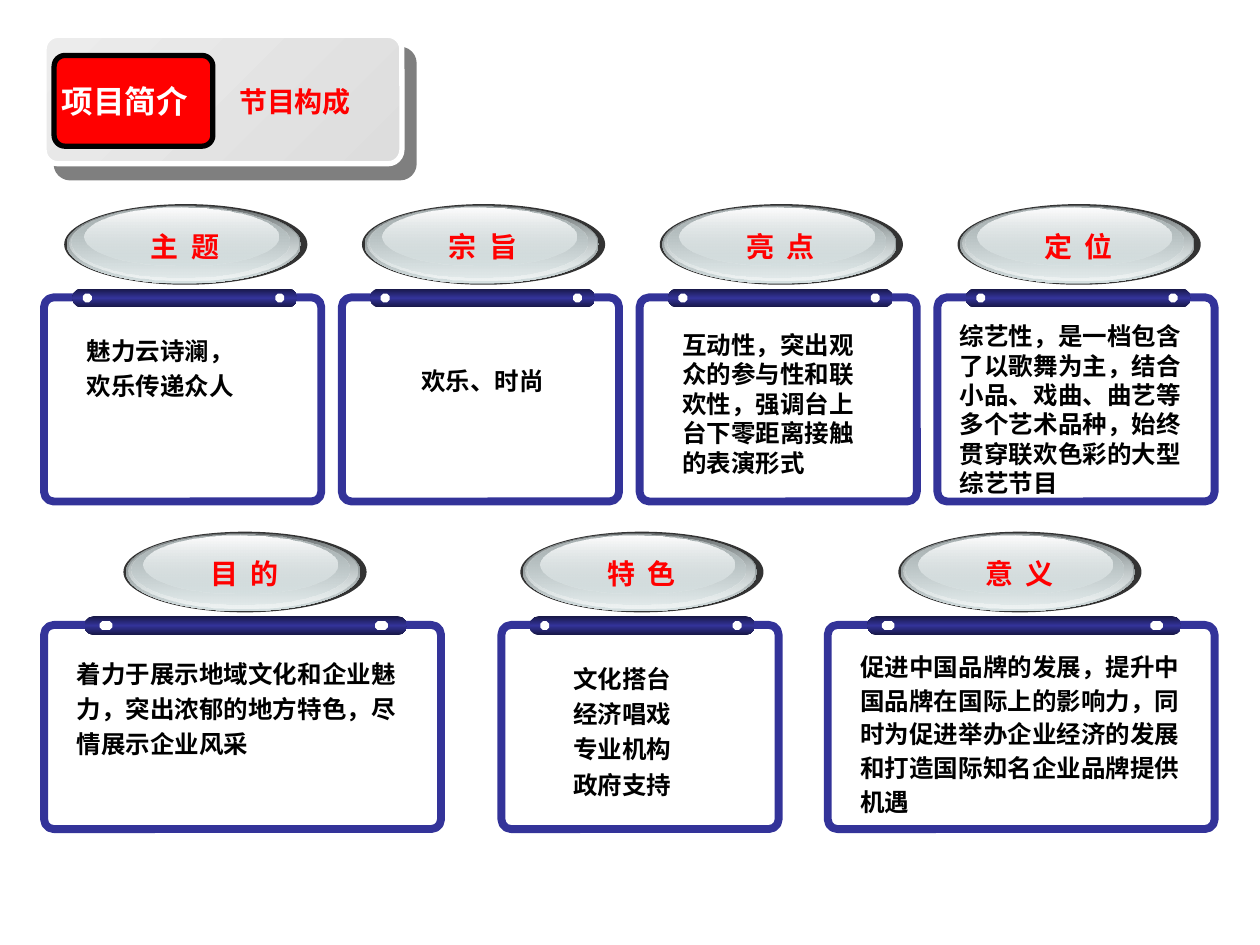
from lxml.etree import SubElement as Sub
from pptx import Presentation
from pptx.dml.color import RGBColor as Color
from pptx.enum.shapes import MSO_SHAPE as Kind
from pptx.enum.text import MSO_ANCHOR as Anchor, PP_ALIGN as Align
from pptx.oxml.ns import qn
from pptx.util import Inches, Pt

THEME = {
    "latin": "Arial", "cjk": "Noto Sans CJK SC",
    "body": 14, "label": 16, "title": 18, "lead": 1.2,
    "ink": "000000", "red": "FF0000", "white": "FFFFFF",
    "navy": "333399", "edge": "333333",
    "bar": [(0, "171746", 100), (50, "333399", 100), (100, "171746", 100)],
    "plate": [(0, "DDDDDD", 100), (100, "ECECEC", 100)],
    "rim": [(0, "626768", 100), (100, "D6E1E2", 100)],
    "glow": [(0, "D6E1E2", 0), (100, "EFF3F3", 100)],
    "shade": [(0, "A8B1B2", 100), (100, "D6E1E2", 48)],
    "shine": [(0, "FEFEFE", 100), (100, "D6E1E2", 38)],
}

STEP = (9.64 - 0.35 - 2.2) / 3
TOP = [
    ("主 题", ["魅力云诗澜，", "欢乐传递众人"], (0.24, 0.21, 1.73, 0.66), 1.2),
    ("宗 旨", ["欢乐、时尚"], (0.53, 0.5, 1.25, 0.34), 1),
    ("亮 点", ["互动性，突出观众的参与性和联欢性，强调台上台下零距离接触的表演形式"],
     (0.24, 0.21, 1.65, 1.27), 1),
    ("定 位", ["综艺性，是一档包含了以歌舞为主，结合小品、戏曲、曲艺等多个艺术品种，始终贯穿联欢色彩的大型综艺节目"],
     (0.08, 0.14, 1.97, 1.5), 1),
]
LOW = [
    (0.35, 3.15, 0.63, "目 的", ["着力于展示地域文化和企业魅力，突出浓郁的地方特色，尽情展示企业风采"],
     (0.16, 0.17, 2.84, 0.94), 1.2),
    (3.98, 2.2, 0.15, "特 色", ["文化搭台", "经济唱戏", "专业机构", "政府支持"],
     (0.47, 0.21, 1.26, 1.22), 1.2),
    (6.57, 3.07, 0.56, "意 义", ["促进中国品牌的发展，提升中国品牌在国际上的影响力，同时为促进举办企业经济的发展和打造国际知名企业品牌提供机遇"],
     (0.16, 0.13, 2.76, 1.44), 1.15),
]
CARDS = [(2.36, 0.35 + i * STEP, 2.2, 0.16, *card) for i, card in enumerate(TOP)]
CARDS += [(4.96, *card) for card in LOW]

OVALS = [
    (0, 0, 1.93, 0.64, "edge"),
    (0.02, 0.01, 1.86, 0.62, "rim"),
    (0.04, 0.01, 1.82, 0.6, "glow"),
    (0.06, 0.02, 1.73, 0.56, "shade"),
    (0.16, 0.03, 1.54, 0.46, "shine"),
]

deck = Presentation()
deck.slide_width, deck.slide_height = Inches(10), Inches(7.5)
slide = deck.slides.add_slide(deck.slide_layouts[6])


def put(item, **fmt):
    for key, val in fmt.items():
        setattr(item, key, val)


def tint(node, code, alpha):
    color = Sub(node, qn("a:srgbClr"), val=code)
    if alpha < 100:
        Sub(color, qn("a:alpha"), val=str(alpha * 1000))


def blend(shape, stops, angle):
    shape.fill.background()
    props = shape._element.spPr
    old = props.find(qn("a:noFill"))
    grad = props.makeelement(qn("a:gradFill"), {"rotWithShape": "1"})
    props.replace(old, grad)
    ramp = Sub(grad, qn("a:gsLst"))
    for pos, code, alpha in stops:
        tint(Sub(ramp, qn("a:gs"), pos=str(pos * 1000)), code, alpha)
    Sub(grad, qn("a:lin"), ang=str(angle * 60000), scaled="0")


def draw(kind, box, fill=None, line=None, width=0, adj=None, angle=90):
    shape = slide.shapes.add_shape(kind, *map(Inches, box))
    shape.shadow.inherit = False
    if adj is not None:
        shape.adjustments[0] = adj
    paint = THEME.get(fill)
    if paint is None:
        shape.fill.background()
    elif isinstance(paint, list):
        blend(shape, paint, angle)
    else:
        shape.fill.solid()
        shape.fill.fore_color.rgb = Color.from_string(paint)
    if line:
        shape.line.color.rgb = Color.from_string(THEME[line])
        shape.line.width = Pt(width)
    else:
        shape.line.fill.background()
    return shape


def write(box, lines, size, ink, lead=1, align=Align.LEFT, gap=0, face="latin", anchor=Anchor.TOP):
    frame = slide.shapes.add_textbox(*map(Inches, box)).text_frame
    put(frame, word_wrap=True, vertical_anchor=anchor)
    for i, line in enumerate(lines):
        para = frame.add_paragraph() if i else frame.paragraphs[0]
        put(para, alignment=align, line_spacing=Pt(round(THEME[size] * THEME["lead"] * lead, 1)))
        run = para.add_run()
        run.text = line
        put(run.font, name=THEME[face], size=Pt(THEME[size]), bold=True)
        run.font.color.rgb = Color.from_string(THEME[ink])
        props = run._r.get_or_add_rPr()
        Sub(props, qn("a:ea"), typeface=THEME["cjk"])
        if gap:
            props.set("spc", str(gap))


def panel(top, left, wide):
    draw(Kind.ROUNDED_RECTANGLE, (left, top, wide, 1.62), line="navy", width=4.5, adj=0.047)
    draw(Kind.ROUNDED_RECTANGLE, (left + 0.102 * wide, top - 0.07, 0.812 * wide, 0.15), "bar", adj=0.5)
    for part in (0.834, 0.14):
        draw(Kind.OCTAGON, (left + part * wide, top - 0.03, 0.032 * wide, 0.07), "white", adj=0.293)


def badge(top, left, label):
    for dx, dy, wide, high, fill in OVALS:
        draw(Kind.OVAL, (left + dx, top + dy, wide, high), fill)
    write((left + 0.36, top + 0.15, 1.2, 0.37), [label], "label", "red", align=Align.CENTER, gap=180)


for top, left, wide, inset, label, lines, (dx, dy, *size), lead in CARDS:
    panel(top, left, wide)
    write((left + dx, top + dy, *size), lines, "body", "ink", lead)
    badge(top - 0.74, left + inset, label)

plate = draw(Kind.ROUNDED_RECTANGLE, (0.35, 0.28, 2.84, 1.02), "plate", "white", 3, 0.109, 225)
cast = Sub(plate._element.spPr.find(qn("a:effectLst")), qn("a:outerShdw"),
           dist=str(Pt(10.6)), dir=str(49 * 60000), algn="ctr", rotWithShape="0")
tint(cast, THEME["ink"], 50)
draw(Kind.ROUNDED_RECTANGLE, (0.43, 0.44, 1.26, 0.72), "red", "ink", 3, 0.119)
write((0.32, 0.6, 1.34, 0.4), ["项目简介"], "title", "white", align=Align.CENTER)
write((1.8, 0.62, 1.39, 0.37), ["节目构成"], "label", "red", face="cjk", anchor=Anchor.MIDDLE)

deck.save("out.pptx")
